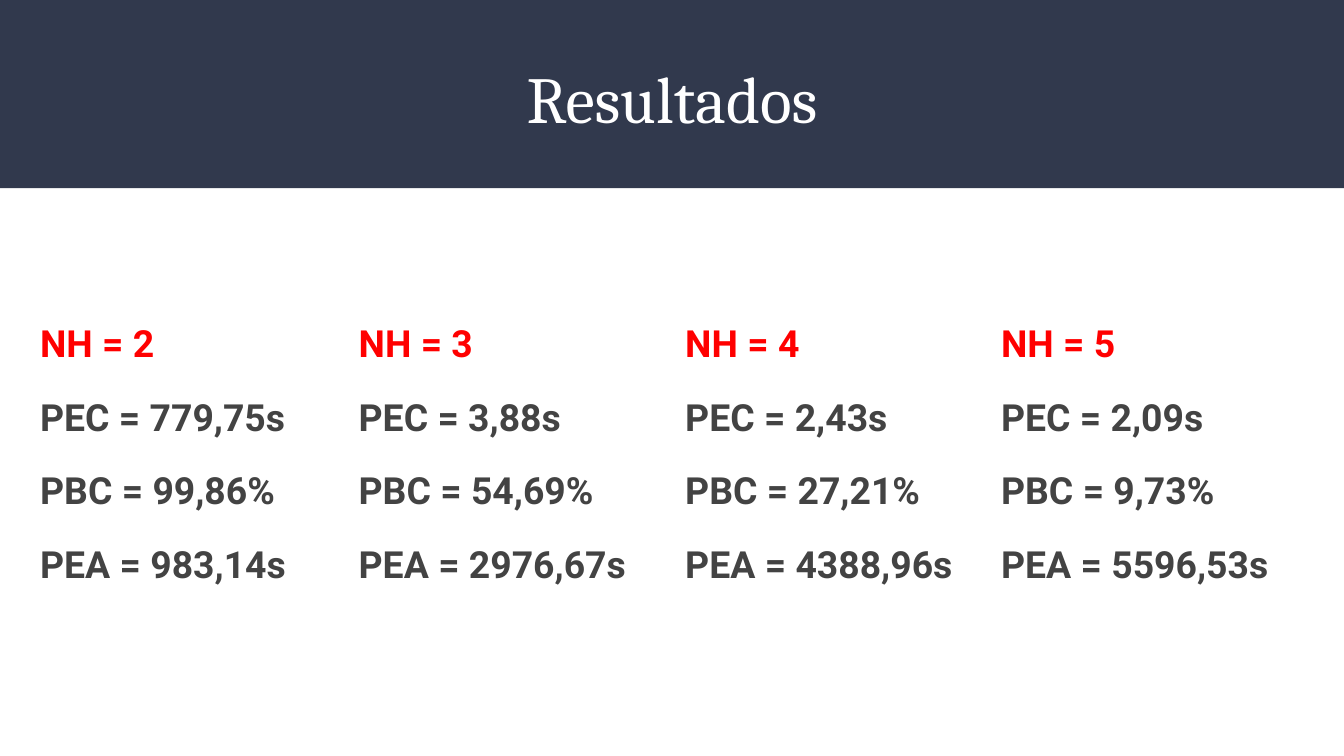
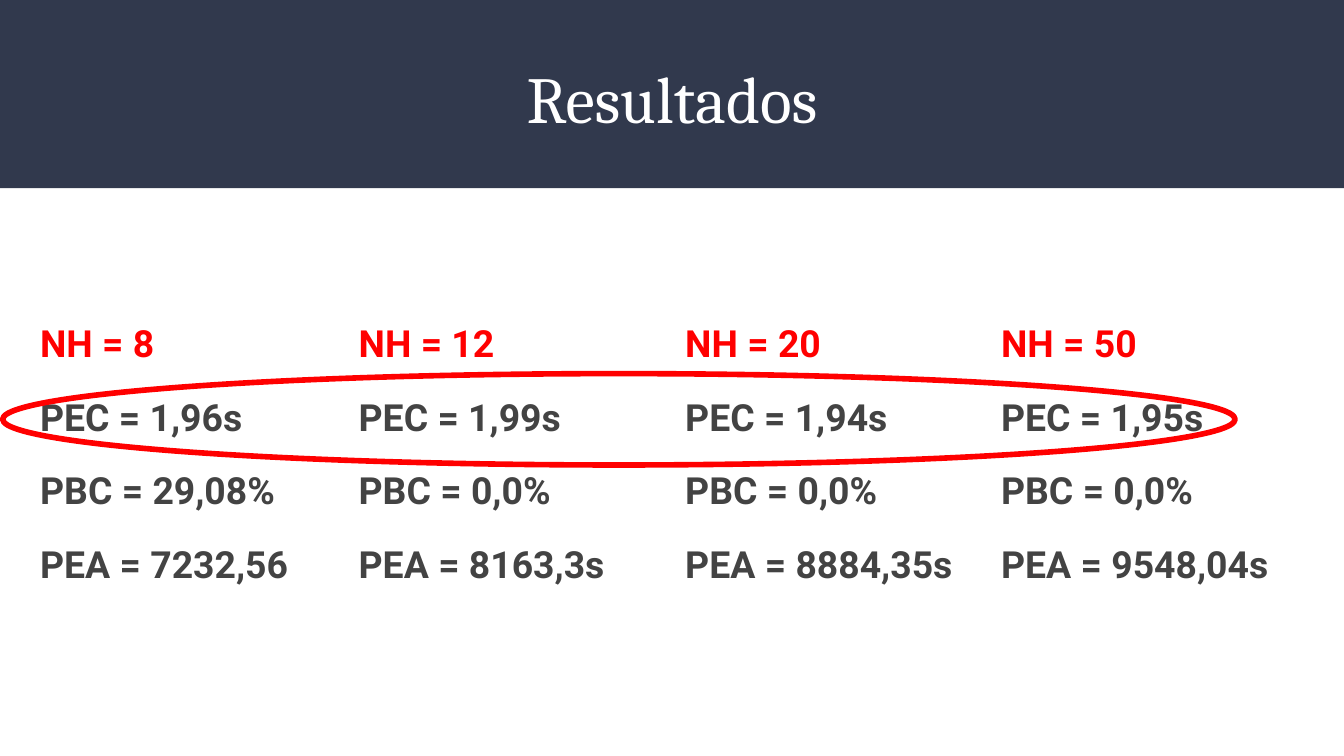
from pptx import Presentation
from pptx.dml.color import RGBColor
from pptx.enum import shapes, text
from pptx.util import Inches, Pt

NAVY, WHITE, RED, GREY = "31394D", "FFFFFF", "FF0000", "434343"
TITLE_FONT, BODY_FONT = "Cambria", "Roboto"
COLUMN_LEFTS = (0.2, 2.57, 5, 7.35)

FEW_HIDDEN = (
    ("NH = 2", "PEC = 779,75s", "PBC = 99,86%", "PEA = 983,14s"),
    ("NH = 3", "PEC = 3,88s", "PBC = 54,69%", "PEA = 2976,67s"),
    ("NH = 4", "PEC = 2,43s", "PBC = 27,21%", "PEA = 4388,96s"),
    ("NH = 5", "PEC = 2,09s", "PBC = 9,73%", "PEA = 5596,53s"),
)
MANY_HIDDEN = (
    ("NH = 8", "PEC = 1,96s", "PBC = 29,08%", "PEA = 7232,56"),
    ("NH = 12", "PEC = 1,99s", "PBC = 0,0%", "PEA = 8163,3s"),
    ("NH = 20", "PEC = 1,94s", "PBC = 0,0%", "PEA = 8884,35s"),
    ("NH = 50", "PEC = 1,95s", "PBC = 0,0%", "PEA = 9548,04s"),
)


def color(hex_value):
    return RGBColor.from_string(hex_value)


def add_shape(page, kind, left, top, width, height, fill=None, line=None, weight=0.75):
    shape = page.shapes.add_shape(
        kind, Inches(left), Inches(top), Inches(width), Inches(height))
    shape.shadow.inherit = False
    if fill:
        shape.fill.solid()
        shape.fill.fore_color.rgb = color(fill)
    else:
        shape.fill.background()
    if line:
        shape.line.color.rgb = color(line)
        shape.line.width = Pt(weight)
    else:
        shape.line.fill.background()
    return shape


def prepare_frame(box, top_inset=0.1):
    """Wrap the text of a box, start it at the top and set its insets."""
    frame = box.text_frame
    frame.word_wrap = True
    frame.vertical_anchor = text.MSO_ANCHOR.TOP
    frame.margin_left = frame.margin_right = frame.margin_bottom = Inches(0.1)
    frame.margin_top = Inches(top_inset)
    return frame


def add_run(para, words, font, size, hex_value, bold=False):
    span = para.add_run()
    span.text = words
    span.font.name = font
    span.font.size = Pt(size)
    span.font.bold = bold
    span.font.color.rgb = color(hex_value)


def add_title(page, words):
    box = page.shapes.add_textbox(Inches(0.34), Inches(0.33), Inches(9.32), Inches(0.68))
    para = prepare_frame(box).paragraphs[0]
    para.alignment = text.PP_ALIGN.CENTER
    add_run(para, words, TITLE_FONT, 35.2, WHITE)


def add_column(page, left, lines):
    """Add one result column: a red heading above grey measures."""
    box = add_shape(page, shapes.MSO_SHAPE.RECTANGLE, left, 1.73, 2.65, 4, line=WHITE)
    frame = prepare_frame(box, top_inset=0.6)
    for index, words in enumerate(lines):
        para = frame.add_paragraph() if index else frame.paragraphs[0]
        para.alignment = text.PP_ALIGN.LEFT
        para.line_spacing = 1.15
        para.space_before = Pt(12 if index else 0)
        add_run(para, words, BODY_FONT, 20, GREY if index else RED, bold=True)
    para.space_after = Pt(12)


def add_results_page(deck, columns):
    page = deck.slides.add_slide(deck.slide_layouts[6])
    page.background.fill.solid()
    page.background.fill.fore_color.rgb = color(WHITE)
    add_shape(page, shapes.MSO_SHAPE.RECTANGLE, 0, 0, 10, 1.4, fill=NAVY)
    add_title(page, "Resultados")
    for left, lines in zip(COLUMN_LEFTS, columns):
        add_column(page, left, lines)
    return page


def main():
    deck = Presentation()
    deck.slide_width = Inches(10)
    deck.slide_height = Inches(10 * 9 / 16)
    add_results_page(deck, FEW_HIDDEN)
    page = add_results_page(deck, MANY_HIDDEN)
    add_shape(page, shapes.MSO_SHAPE.OVAL, 0.02, 2.78, 9.17, 0.68, line=RED, weight=3)
    deck.save("out.pptx")


if __name__ == "__main__":
    main()
